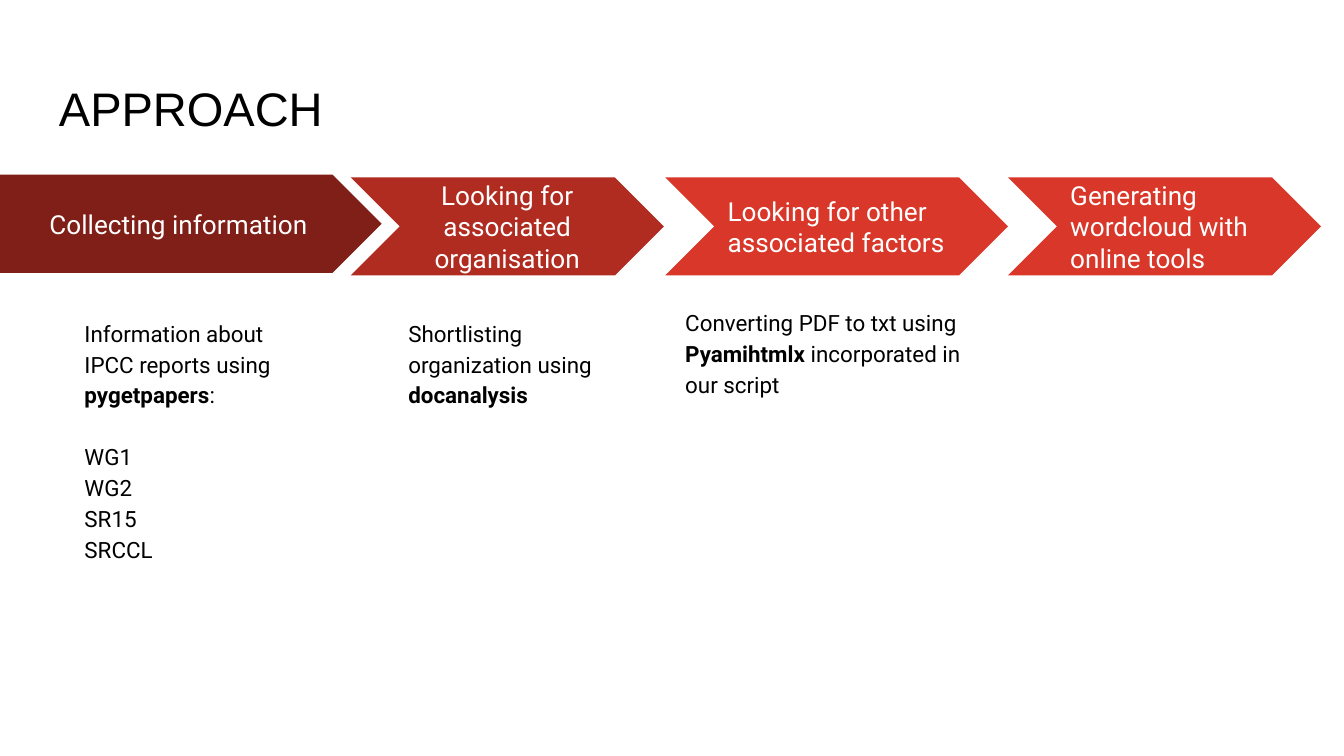
import dataclasses

import pptx
import pptx.dml.color
import pptx.enum.shapes
import pptx.enum.text
import pptx.util

PX = 9144  # EMU in one px, at 100 px to the inch
LEFT = pptx.enum.text.PP_ALIGN.LEFT
CENTER = pptx.enum.text.PP_ALIGN.CENTER
PENTAGON = pptx.enum.shapes.MSO_SHAPE.PENTAGON
CHEVRON = pptx.enum.shapes.MSO_SHAPE.CHEVRON


@dataclasses.dataclass(frozen=True)
class Theme:
    title_font: str = "Arial"
    body_font: str = "Roboto"
    title_size: float = 25.2
    step_size: float = 14
    body_size: float = 12
    line_spacing: float = 1.15
    section_gap: float = 16.5
    ink: str = "000000"
    paper: str = "FFFFFF"
    dark: str = "801F17"
    medium: str = "B02B20"
    bright: str = "D83729"


def color(code):
    return pptx.dml.color.RGBColor.from_string(code)


class SlideBuilder:
    def __init__(self, theme, page):
        self.theme = theme
        self.page = page

    def prepare(self, box, anchor):
        """Set wrapping, margins and anchor; return the text frame."""
        frame = box.text_frame
        frame.word_wrap = True
        frame.vertical_anchor = anchor
        frame.margin_left = frame.margin_right = 10 * PX
        frame.margin_top = frame.margin_bottom = 10 * PX
        return frame

    def style(self, para, font, size, ink):
        para.font.name = font
        para.font.size = pptx.util.Pt(size)
        para.font.color.rgb = color(ink)

    def text_box(self, left, top, width, height):
        box = self.page.shapes.add_textbox(left * PX, top * PX, width * PX, height * PX)
        return self.prepare(box, pptx.enum.text.MSO_ANCHOR.TOP)

    def title(self, text, left, top, width, height):
        para = self.text_box(left, top, width, height).paragraphs[0]
        para.text = text
        self.style(para, self.theme.title_font, self.theme.title_size, self.theme.ink)

    def step(self, text, kind, left, top, width, fill, align):
        arrow = self.page.shapes.add_shape(kind, left * PX, top * PX, width * PX, 73 * PX)
        arrow.adjustments[0] = 0.5
        arrow.shadow.inherit = False
        arrow.fill.solid()
        arrow.fill.fore_color.rgb = color(fill)
        arrow.line.fill.background()
        para = self.prepare(arrow, pptx.enum.text.MSO_ANCHOR.MIDDLE).paragraphs[0]
        para.text = text
        para.alignment = align
        self.style(para, self.theme.body_font, self.theme.step_size, self.theme.paper)

    def details(self, spans, items, left, top, width):
        """Write a sentence with bold spans, then a separate list of items."""
        frame = self.text_box(left, top, width, 286)
        for index, line in enumerate([spans] + [[(item, False)] for item in items]):
            para = frame.add_paragraph() if index else frame.paragraphs[0]
            para.line_spacing = self.theme.line_spacing
            if index == 1:
                para.space_before = pptx.util.Pt(self.theme.section_gap)
            self.style(para, self.theme.body_font, self.theme.body_size, self.theme.ink)
            for text, bold in line:
                span = para.add_run()
                span.text = text
                if bold:
                    span.font.bold = True


def main():
    theme = Theme()
    deck = pptx.Presentation()
    deck.slide_width = pptx.util.Inches(10)
    deck.slide_height = deck.slide_width * 9 // 16
    builder = SlideBuilder(theme, deck.slides.add_slide(deck.slide_layouts[6]))

    builder.title("APPROACH", 34, 49, 932, 63)

    steps = [
        ("Collecting information", PENTAGON, 0, 130, 284, theme.dark, CENTER),
        ("Looking for associated organisation", CHEVRON, 261, 132, 233, theme.medium, CENTER),
        ("Looking for other associated factors", CHEVRON, 495, 132, 255, theme.bright, LEFT),
        ("Generating wordcloud with online tools", CHEVRON, 750, 132, 233, theme.bright, LEFT),
    ]
    for step in steps:
        builder.step(*step)

    builder.details(
        [("Information about IPCC reports using ", False), ("pygetpapers", True), (":", False)],
        ["WG1", "WG2", "SR15", "SRCCL"], 53, 225, 179)
    builder.details(
        [("Shortlisting organization using ", False), ("docanalysis", True)],
        [], 294, 225, 200)
    builder.details(
        [("Converting PDF to txt using ", False), ("Pyamihtmlx ", True),
         ("incorporated in our script", False)],
        [], 500, 217, 245)

    deck.save("out.pptx")


if __name__ == "__main__":
    main()
